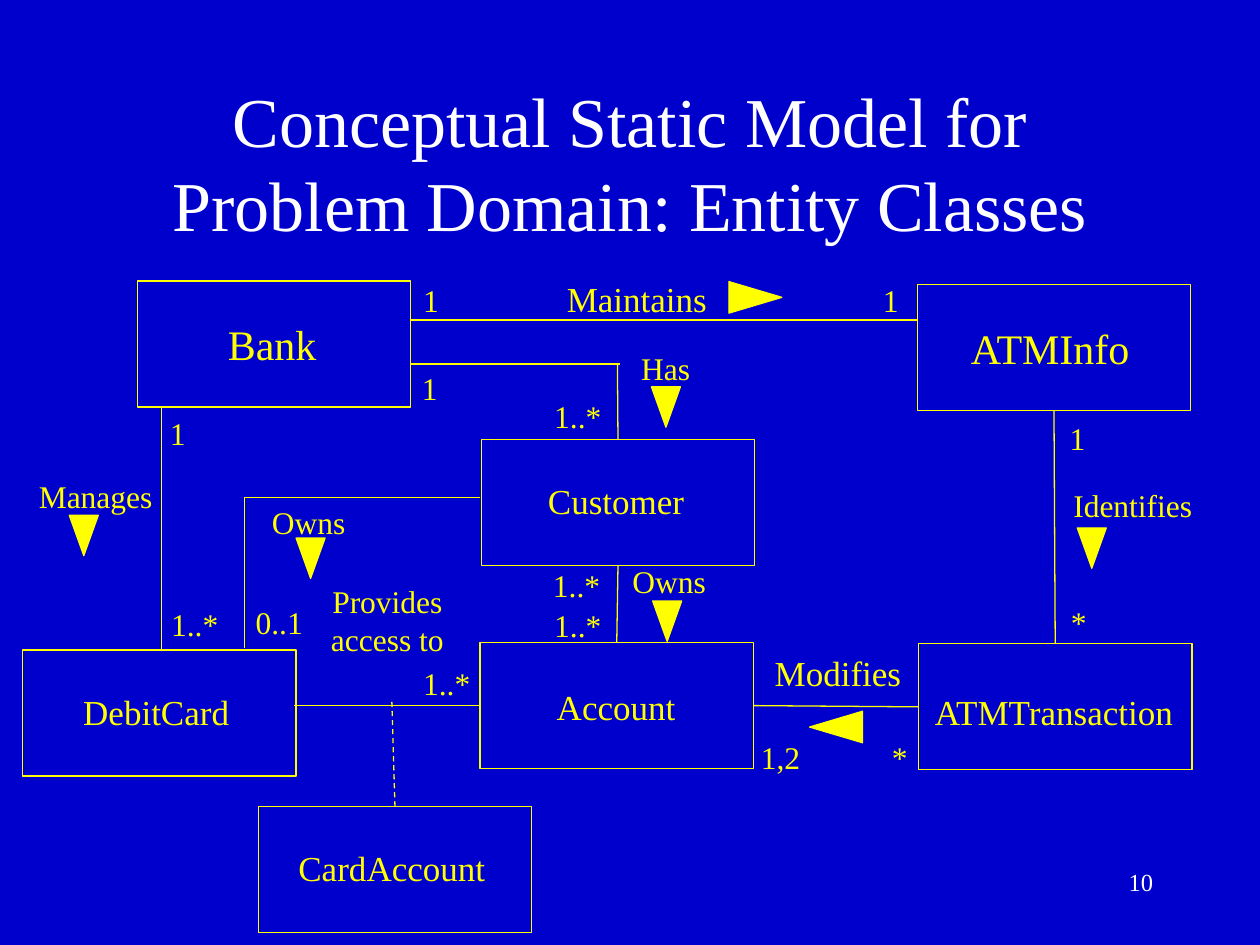
from lxml import etree
from pptx import Presentation
from pptx.dml.color import RGBColor
from pptx.enum.dml import MSO_LINE
from pptx.enum.shapes import MSO_CONNECTOR, MSO_SHAPE
from pptx.enum.text import MSO_ANCHOR, MSO_AUTO_SIZE, PP_ALIGN
from pptx.oxml.ns import qn
from pptx.util import Inches, Pt

BLUE = RGBColor(0x00, 0x00, 0xCC)
YELLOW = RGBColor(0xFF, 0xFF, 0x00)
WHITE = RGBColor(0xFF, 0xFF, 0xFF)

RECTANGLE, TRIANGLE = MSO_SHAPE.RECTANGLE, MSO_SHAPE.ISOSCELES_TRIANGLE
STRAIGHT, DASH = MSO_CONNECTOR.STRAIGHT, MSO_LINE.DASH
LEFT, CENTER, RIGHT = PP_ALIGN.LEFT, PP_ALIGN.CENTER, PP_ALIGN.RIGHT
TOP, MIDDLE = MSO_ANCHOR.TOP, MSO_ANCHOR.MIDDLE
FIT_SHAPE = MSO_AUTO_SIZE.SHAPE_TO_FIT_TEXT

# Connection sites of a rectangle
SITE_TOP, SITE_LEFT, SITE_BOTTOM, SITE_RIGHT = range(4)


class Diagram:
    font = "Times New Roman"
    line_width = Pt(0.75)
    entity_size = (2.17, 1)
    slack = 0.04  # spare width that keeps a label on one line

    def __init__(self, slide):
        self.slide = slide
        fill = slide.background.fill
        fill.solid()
        fill.fore_color.rgb = BLUE

    def text(self, box, lines, size, color=YELLOW, align=LEFT, anchor=TOP, wrap=False):
        x, y, w, h = box
        if not wrap:
            w += self.slack
            x -= self.slack / 2 if align == CENTER else 0
        sp = self.slide.shapes.add_textbox(*map(Inches, (x, y, w, h)))
        tf = sp.text_frame
        tf.word_wrap = wrap
        tf.vertical_anchor = anchor
        if not wrap:
            tf.auto_size = FIT_SHAPE
        for i, line in enumerate(lines):
            p = tf.add_paragraph() if i else tf.paragraphs[0]
            p.alignment = align
            r = p.add_run()
            r.text = line
            r.font.name = self.font
            r.font.size = Pt(size)
            r.font.color.rgb = color

    def shape(self, kind, x, y, w, h):
        sp = self.slide.shapes.add_shape(kind, *map(Inches, (x, y, w, h)))
        sp.shadow.inherit = False
        sp.line.color.rgb = YELLOW
        sp.line.width = self.line_width
        return sp

    def entity(self, name, x, y, label_box, size=20):
        sp = self.shape(RECTANGLE, x, y, *self.entity_size)
        sp.fill.background()
        self.text(label_box, [name], size, align=CENTER)
        return sp

    def pointer(self, x, y, rotation=180, w=0.23, h=0.32):
        sp = self.shape(TRIANGLE, x, y, w, h)
        sp.rotation = rotation
        sp.fill.solid()
        sp.fill.fore_color.rgb = YELLOW

    def line(self, start, end, begin=None, finish=None, dash=None):
        cx = self.slide.shapes.add_connector(STRAIGHT, *map(Inches, start + end))
        cx.line.color.rgb = YELLOW
        cx.line.width = self.line_width
        if dash:
            cx.line.dash_style = dash
        if begin:
            cx.begin_connect(*begin)
        if finish:
            cx.end_connect(*finish)
        etree.SubElement(cx._element.spPr, qn("a:effectLst"))


def main():
    prs = Presentation()
    prs.slide_width, prs.slide_height = Inches(10), Inches(7.5)
    d = Diagram(prs.slides.add_slide(prs.slide_layouts[6]))

    # Title
    d.text((0.75, 0.66, 8.5, 1.25),
           ["Conceptual Static Model for Problem Domain: Entity Classes"],
           40, WHITE, CENTER, MIDDLE, wrap=True)

    # Entity classes
    d.entity("Bank", 1.09, 2.23, (1.71, 2.48, 0.9, 0.5), 24)
    atm_info = d.entity("ATMInfo", 7.28, 2.26, (7.59, 2.51, 1.49, 0.5), 24)
    transaction = d.entity("ATMTransaction", 7.29, 5.11, (7.3, 5.43, 2.13, 0.44))
    account = d.entity("Account", 3.81, 5.1, (4.32, 5.39, 1.14, 0.44))
    customer = d.entity("Customer", 3.82, 3.49, (4.25, 3.76, 1.28, 0.44))
    d.entity("DebitCard", 0.18, 5.16, (0.56, 5.43, 1.36, 0.44))
    card_account = d.entity("CardAccount", 2.05, 6.4, (2.27, 6.67, 1.68, 0.44))

    # Bank associations
    d.line((3.25, 2.54), (7.28, 2.54))
    d.line((3.25, 2.89), (4.92, 2.89))
    d.line((4.9, 2.89), (4.9, 3.49), finish=(customer, SITE_TOP))
    d.line((1.28, 5.16), (1.28, 3.22))

    # Customer, account and card associations
    d.line((3.81, 3.95), (1.94, 3.95))
    d.line((1.94, 3.95), (1.94, 5.14))
    d.line((4.9, 4.49), (4.9, 5.1), (customer, SITE_BOTTOM), (account, SITE_TOP))
    d.line((3.81, 5.6), (2.33, 5.6), begin=(account, SITE_LEFT))
    d.line((3.13, 6.4), (3.11, 5.57), begin=(card_account, SITE_TOP), dash=DASH)

    # Transaction associations
    d.line((7.29, 5.6), (5.98, 5.6), (transaction, SITE_LEFT), (account, SITE_RIGHT))
    d.line((8.37, 5.11), (8.37, 3.26), (transaction, SITE_TOP), (atm_info, SITE_BOTTOM))

    # Association names
    d.text((4.4, 2.15, 1.31, 0.44), ["Maintains"], 20)
    d.text((6.05, 5.12, 1.2, 0.44), ["Modifies"], 20)
    for name, x, y, w in [
        ("Has", 4.99, 2.72, 0.59),
        ("Owns", 4.92, 4.41, 0.78),
        ("Owns", 2.06, 3.94, 0.78),
        ("Manages", 0.21, 3.74, 1.1),
        ("Identifies", 8.42, 3.81, 1.14),
    ]:
        d.text((x, y, w, 0.4), [name], 18)
    d.text((2.53, 4.57, 1.09, 0.7), ["Provides", "access to"], 18, align=CENTER)

    # Reading-direction pointers
    d.pointer(5.87, 2.15, 90, 0.25, 0.42)
    d.pointer(6.51, 5.56, 270, 0.25, 0.42)
    for x, y in [(5.17, 3.07), (5.18, 4.77), (8.55, 4.19), (0.55, 4.09), (2.35, 4.27)]:
        d.pointer(x, y)

    # Multiplicities
    widths = {"1": 0.32, "*": 0.32, "1,2": 0.51, "1..*": 0.57, "0..1": 0.57}
    for value, x, y in [
        ("1", 3.26, 2.18), ("1", 6.91, 2.18), ("1", 3.25, 2.88),
        ("1", 1.25, 3.24), ("1", 8.39, 3.28),
        ("*", 6.98, 5.81), ("*", 8.4, 4.74), ("1,2", 5.94, 5.81),
        ("1..*", 4.3, 3.1), ("1..*", 4.29, 4.44), ("1..*", 4.3, 4.76),
        ("1..*", 1.26, 4.75), ("1..*", 3.26, 5.22), ("0..1", 1.93, 4.74),
    ]:
        d.text((x, y, widths[value], 0.4), [value], 18)

    # Slide number
    d.text((7.17, 6.83, 2.08, 0.5), ["10"], 14, WHITE, RIGHT, wrap=True)

    prs.save("out.pptx")


if __name__ == "__main__":
    main()
